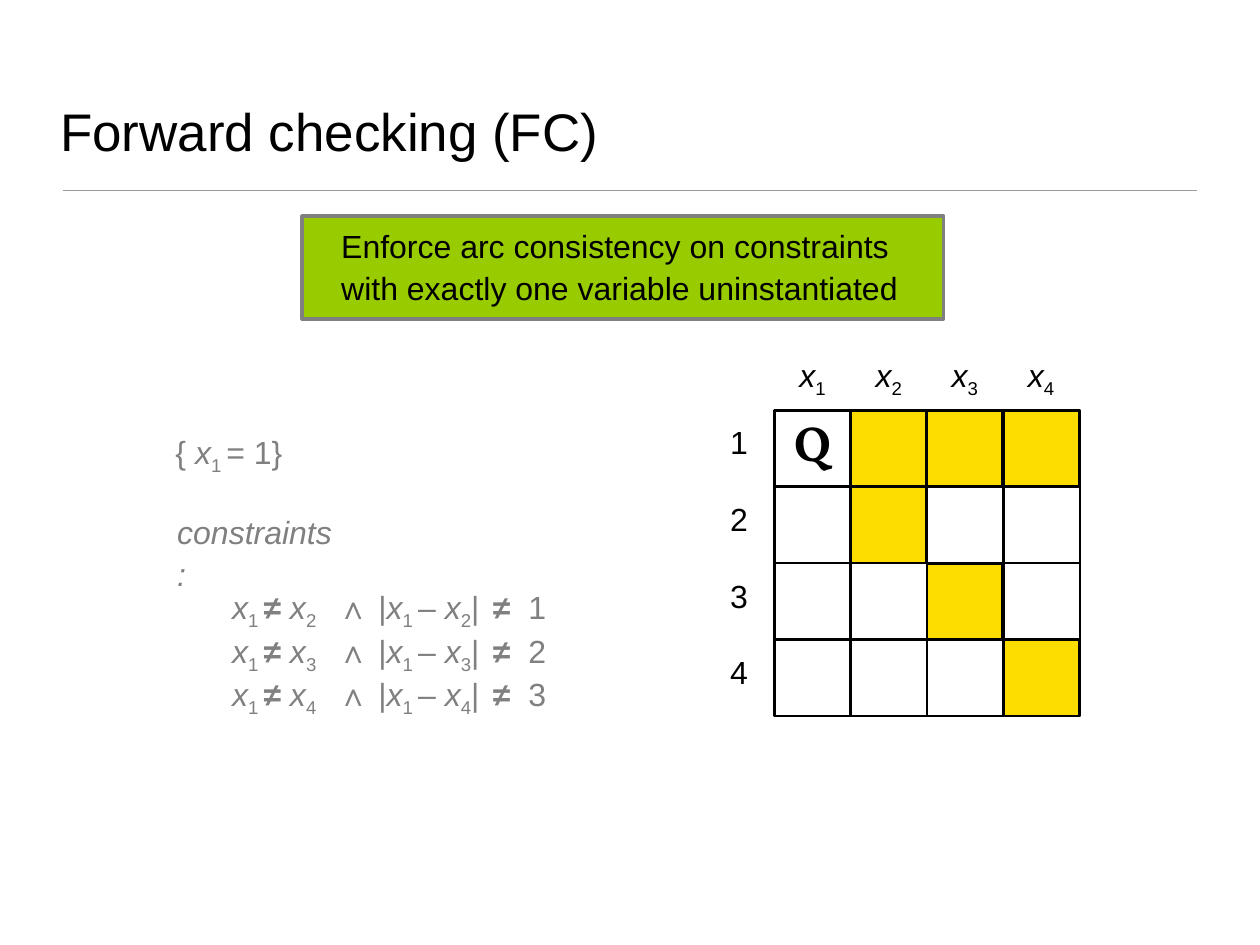
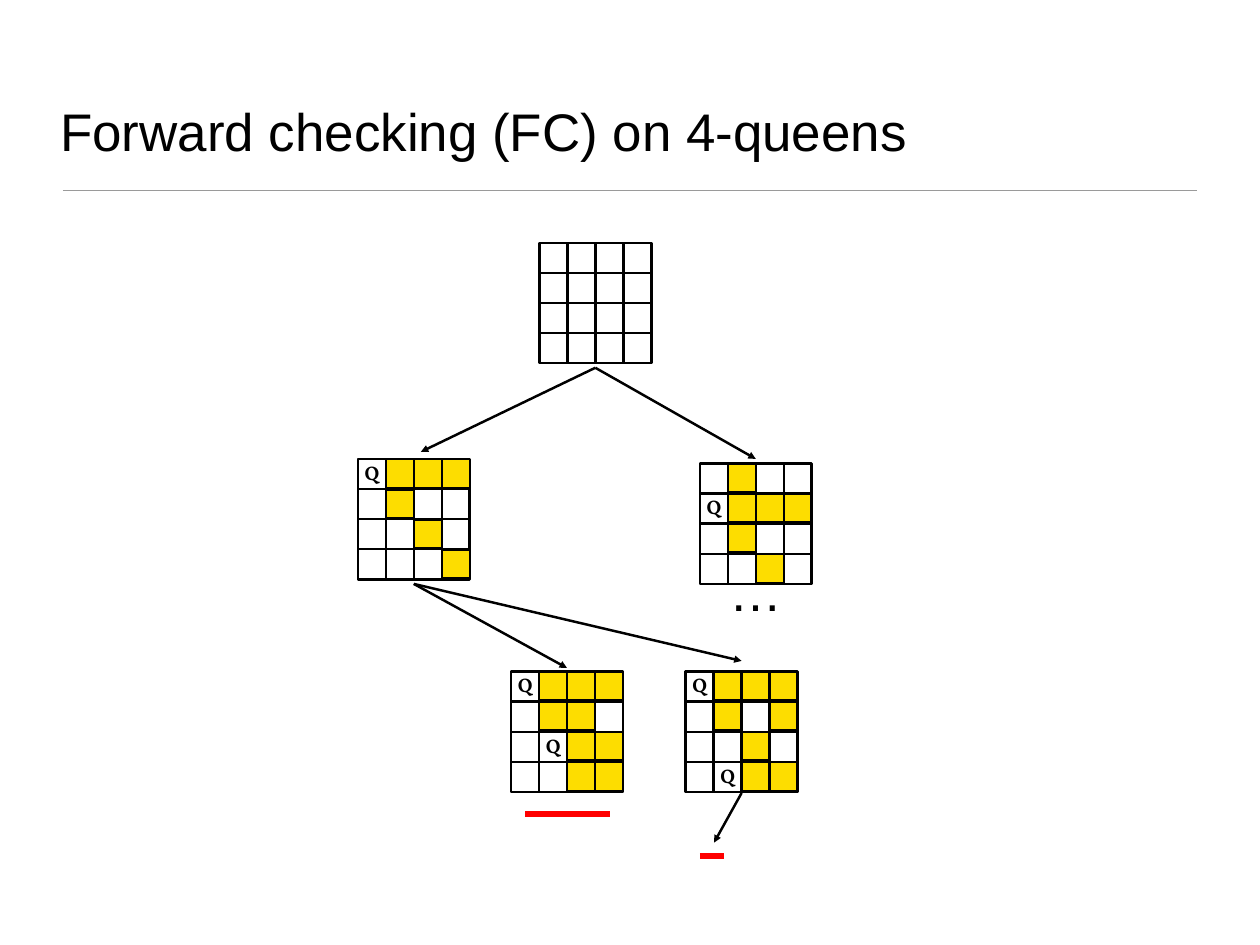
from lxml import etree
from pptx import Presentation
from pptx import util as u
from pptx.dml.color import RGBColor
from pptx.enum import shapes, text as t
from pptx.oxml.ns import qn

WIDE, HIGH = u.Inches(14.22), u.Inches(10.67)
COLS, ROWS = 64, 48
HUES = {"ink": "000000", "gray": "808080", "rule": "9A9A9A", "lime": "99CC00",
        "gold": "FDDD00", "red": "FF0000"}
BODY, SERIF = "Arial", "Vollkorn"
SIDES = {"l": t.PP_ALIGN.LEFT, "c": t.PP_ALIGN.CENTER}
SPOTS = {"t": t.MSO_ANCHOR.TOP, "m": t.MSO_ANCHOR.MIDDLE, "b": t.MSO_ANCHOR.BOTTOM}
PAD = (0.14, 0.07)
CORNER = ["Q###", ".#..", "..#.", "...#"]


def col(n):
    """Return the length of n grid columns."""
    return round(WIDE * n / COLS)


def row(n):
    """Return the length of n grid rows."""
    return round(HIGH * n / ROWS)


def place(box):
    """Turn a grid box into left, top, width and height."""
    x, y, w, h = box
    return col(x), row(y), col(w), row(h)


def hue(name):
    """Look up a named colour."""
    return RGBColor.from_string(HUES[name])


def write(slide, box, lines, size=26, font=BODY, color="ink", side="l", spot="t",
          pad=PAD, wrap=True, lead=None, tabs=()):
    """Add a text box; each line is a string or a list of (text, marks) with marks i, b, s."""
    shape = slide.shapes.add_textbox(*place(box))
    frame = shape.text_frame
    frame.word_wrap = wrap
    frame.vertical_anchor = SPOTS[spot]
    frame.margin_left = frame.margin_right = u.Inches(pad[0])
    frame.margin_top = frame.margin_bottom = u.Inches(pad[1])
    for i, line in enumerate(lines):
        para = frame.add_paragraph() if i else frame.paragraphs[0]
        para.alignment = SIDES[side]
        if lead:
            para.line_spacing = lead
        if tabs:
            stops = etree.SubElement(para._p.get_or_add_pPr(), qn("a:tabLst"))
            for stop in tabs:
                etree.SubElement(stops, qn("a:tab"), pos=str(col(stop)), algn="l")
        for words, marks in [(line, "")] if isinstance(line, str) else line:
            run = para.add_run()
            run.text = words
            run.font.size, run.font.name = u.Pt(size), font
            run.font.color.rgb = hue(color)
            run.font.italic, run.font.bold = "i" in marks, "b" in marks
            if "s" in marks:
                run.font._element.set("baseline", "-25000")


def rect(slide, box, fill=None, edge="ink", width=2):
    """Add a flat rectangle."""
    shape = slide.shapes.add_shape(shapes.MSO_SHAPE.RECTANGLE, *place(box))
    shape.shadow.inherit = False
    if fill:
        shape.fill.solid()
        shape.fill.fore_color.rgb = hue(fill)
    else:
        shape.fill.background()
    shape.line.color.rgb, shape.line.width = hue(edge), u.Pt(width)


def stroke(slide, start, end, color="ink", width=2, arrow=False):
    """Add a straight line, with an arrowhead at its end if asked."""
    line = slide.shapes.add_connector(
        shapes.MSO_CONNECTOR.STRAIGHT, col(start[0]), row(start[1]), col(end[0]), row(end[1]))
    line.line.color.rgb, line.line.width = hue(color), u.Pt(width)
    if arrow:
        etree.SubElement(line.line._get_or_add_ln(), qn("a:tailEnd"), type="triangle")
    etree.SubElement(line._element.spPr, qn("a:effectLst"))


def board(slide, left, top, wide, high, marks, size=16):
    """Draw a chess board where # is a pruned square and Q a queen."""
    n = len(marks)
    rect(slide, (left, top, n * wide, n * high))
    for r, rank in enumerate(marks):
        for c, mark in enumerate(rank):
            x, y = left + c * wide, top + r * high
            if mark == "#":
                rect(slide, (x, y + 0.05, 0.98 * wide, 0.98 * wide), "gold", width=1)
            elif mark == "Q":
                write(slide, (x, y + 0.09, wide, high), [[("Q", "b")]], size=size,
                      font=SERIF, side="c", pad=(0, 0), wrap=False)
    for k in range(1, n):
        x, y = left + k * wide, top + k * high
        stroke(slide, (x, top), (x, top + n * high))
        stroke(slide, (left, y), (left + n * wide, y))


def start(deck, title):
    """Add a blank slide with the shared title and rule."""
    slide = deck.slides.add_slide(deck.slide_layouts[6])
    stroke(slide, (3.2, 9.68), (60.8, 9.68), "rule", 0.75)
    write(slide, (2.79, 1.62, 58.37, 6.89), [title], size=43, spot="b", pad=(0.06, 0.06))
    return slide


def bound(k):
    """Build the runs of the constraint between the first queen and queen k."""
    return [("x", "i"), ("1 ", "s"), ("≠ ", "b"), ("x", "i"), (f"{k}", "s"),
            ("\t∧ |", ""), ("x", "i"), ("1 ", "s"), ("– ", ""), ("x", "i"),
            (f"{k}", "s"), ("|\t", ""), ("≠\t", "b"), (f"{k - 1}", "")]


def rules(deck):
    """Build the slide that explains forward checking."""
    slide = start(deck, "Forward checking (FC)")
    rect(slide, (15.35, 10.98, 32.58, 5.22), "lime", "gray", 3)
    write(slide, (16.7, 10.98, 29.93, 4.91),
          ["Enforce arc consistency on constraints with exactly one variable uninstantiated"],
          spot="m", lead=u.Pt(34.1))
    board(slide, 39.33, 20.84, 3.88, 3.88, CORNER, 40)
    for k in range(4):
        write(slide, (36.23, 21.15 + 3.9 * k, 2.61, 2.61), [f"{k + 1}"], side="c")
        write(slide, (39.92 + 3.87 * k, 17.73, 2.7, 2.61),
              [[("x", "i"), (f"{k + 1}", "s")]], side="c", wrap=False)
    write(slide, (8.28, 21.06, 20.7, 3.29),
          [[("{ ", ""), ("x", "i"), ("1 ", "s"), ("= 1}", "")]],
          color="gray", spot="m", lead=1.35)
    write(slide, (8.37, 26.6, 9.45, 2.79), [[("constraints:", "i")]],
          color="gray", spot="m", lead=u.Pt(34.1))
    write(slide, (11.16, 29.93, 18.5, 6.48), [bound(k) for k in (2, 3, 4)],
          color="gray", spot="m", tabs=(5.35, 13.25, 15.05))


def tree(deck):
    """Build the slide with the search tree for four queens."""
    slide = start(deck, "Forward checking (FC) on 4-queens")
    nodes = [(27.41, 12.33, ["...."] * 4),
             (18.18, 23.31, CORNER),
             (35.55, 23.54, [".#..", "Q###", ".#..", "..#."]),
             (25.97, 34.11, ["Q###", ".##.", ".Q##", "..##"]),
             (34.83, 34.11, ["Q###", ".#.#", "..#.", ".Q##"])]
    for left, top, marks in nodes:
        board(slide, left, top, 1.42, 1.53, marks)
    root, branch = (30.24, 18.68), (21.02, 29.66)
    for tail, head in [(root, (21.38, 22.95)), (root, (38.39, 23.31)),
                       (branch, (28.8, 33.93)), (branch, (37.67, 33.57)),
                       ((37.67, 40.28), (36.27, 42.8))]:
        stroke(slide, tail, head, arrow=True)
    for left, right, y in [(26.69, 30.96, 41.36), (35.55, 36.77, 43.47)]:
        stroke(slide, (left, y), (right, y), "red", 5)
    write(slide, (36.63, 28.13, 2.84, 3.69), ["…"], size=43, side="c",
          pad=(0.1, 0.05), wrap=False)


def main():
    """Build and save the deck."""
    deck = Presentation()
    deck.slide_width, deck.slide_height = WIDE, HIGH
    rules(deck)
    tree(deck)
    deck.save("out.pptx")


if __name__ == "__main__":
    main()
